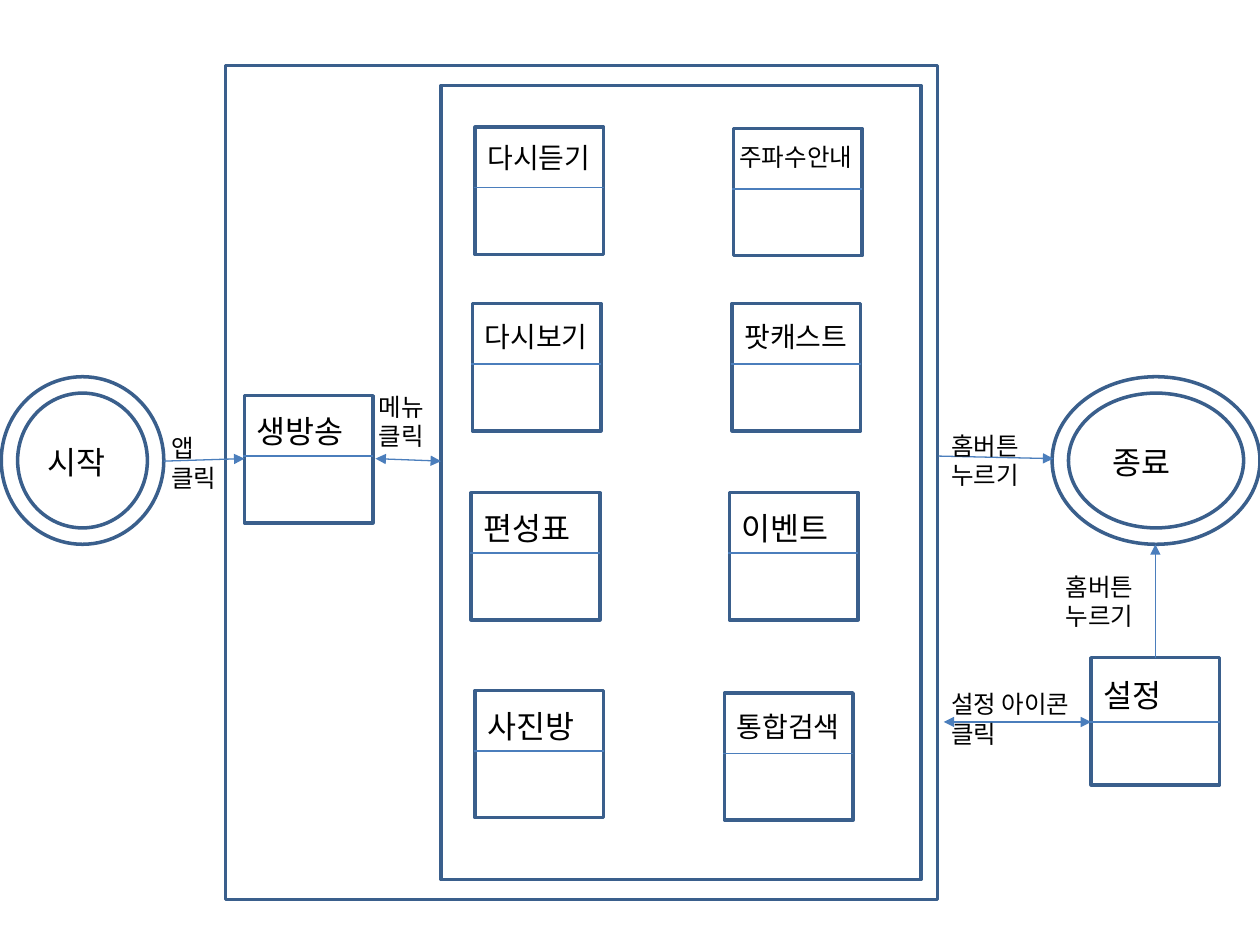
from lxml.etree import SubElement
from pptx import Presentation
from pptx.dml.color import RGBColor
from pptx.enum.shapes import MSO_CONNECTOR, MSO_SHAPE
from pptx.enum.text import MSO_AUTO_SIZE
from pptx.oxml.ns import qn
from pptx.util import Inches, Pt

COLORS = {"outline": "3A5F8C", "link": "4B7EBC", "text": "000000"}
FONT = "Noto Sans CJK KR"
SCREEN_SIZE = 1.02


class FlowDiagram:
    """Draws the states, screens and transitions of an app on one slide."""

    def __init__(self, slide):
        self.slide = slide

    def outline(self, kind, left, top, width, height):
        shape = self.slide.shapes.add_shape(
            kind, Inches(left), Inches(top), Inches(width), Inches(height))
        shape.shadow.inherit = False
        shape.fill.background()
        shape.line.color.rgb = RGBColor.from_string(COLORS["outline"])
        shape.line.width = Pt(2)

    def link(self, start, end, head=False, tail=False):
        line = self.slide.shapes.add_connector(
            MSO_CONNECTOR.STRAIGHT, *map(Inches, start + end))
        line.line.color.rgb = RGBColor.from_string(COLORS["link"])
        line.line.width = Pt(0.75)
        properties = line.line._get_or_add_ln()
        for tag, shown in (("a:headEnd", head), ("a:tailEnd", tail)):
            if shown:
                SubElement(properties, qn(tag)).set("type", "triangle")
        SubElement(line._element.spPr, qn("a:effectLst"))

    def label(self, text, left, top, width, height, size=14, wrap=True):
        box = self.slide.shapes.add_textbox(
            Inches(left), Inches(top), Inches(width), Inches(height))
        frame = box.text_frame
        frame.word_wrap = wrap
        frame.auto_size = MSO_AUTO_SIZE.SHAPE_TO_FIT_TEXT
        frame.text = text
        for para in frame.paragraphs:
            for span in para.runs:
                span.font.size = Pt(size)
                span.font.name = FONT
                span.font.color.rgb = RGBColor.from_string(COLORS["text"])
                east_asian = SubElement(span.font._element, qn("a:ea"))
                east_asian.set("typeface", FONT)

    def state(self, text, left, width, label_left):
        self.outline(MSO_SHAPE.OVAL, left, 2.99, width, 1.33)
        self.outline(MSO_SHAPE.OVAL, left + 0.13, 3.12, width - 0.26, 1.07)
        self.label(text, label_left, 3.47, 0.89, 0.4, 18)

    def screen(self, text, left, top, size=18, label_width=SCREEN_SIZE,
               label_shift=0, label_drop=0.08, divider_drop=0.48):
        self.outline(MSO_SHAPE.RECTANGLE, left, top, SCREEN_SIZE, 1.01)
        divider = top + divider_drop
        self.link((left - 0.01, divider), (left + SCREEN_SIZE, divider))
        self.label(text, left + label_shift, top + label_drop,
                   label_width, 0.4 if size == 18 else 0.37, size)


def main():
    deck = Presentation()
    deck.slide_width, deck.slide_height = Inches(10), Inches(7.5)
    diagram = FlowDiagram(deck.slides.add_slide(deck.slide_layouts[6]))

    diagram.outline(MSO_SHAPE.RECTANGLE, 1.79, 0.52, 5.65, 6.62)
    diagram.outline(MSO_SHAPE.RECTANGLE, 3.5, 0.68, 3.81, 6.3)
    diagram.state("시작", 0.01, 1.29, 0.28)
    diagram.state("종료", 8.35, 1.65, 8.73)

    diagram.screen("생방송", 1.94, 3.14)
    diagram.screen("다시듣기", 3.77, 1.01, 16, 1.34, label_drop=0.06)
    diagram.screen("다시보기", 3.75, 2.41, 16, 1.2)
    diagram.screen("편성표", 3.74, 3.91)
    diagram.screen("사진방", 3.77, 5.48)
    diagram.screen("주파수안내", 5.82, 1.02, 14, 1.22, -0.05, 0.06)
    diagram.screen("팟캐스트", 5.81, 2.41, 16, 1.18)
    diagram.screen("이벤트", 5.79, 3.91)
    diagram.screen("통합검색", 5.75, 5.5, 16, 1.24)
    diagram.screen("설정", 8.66, 5.22, label_drop=0.1, divider_drop=0.51)

    diagram.link((1.3, 3.66), (1.94, 3.64), tail=True)
    diagram.link((2.98, 3.64), (3.5, 3.66), head=True, tail=True)
    diagram.link((7.45, 3.62), (8.36, 3.64), tail=True)
    diagram.link((7.49, 5.73), (8.66, 5.73), head=True, tail=True)
    diagram.link((9.17, 5.22), (9.17, 4.32), tail=True)

    for text, left, top, width, wrap in (
            ("앱\n클릭", 1.26, 3.39, 0.59, False),
            ("메뉴\n클릭", 2.91, 3.06, 0.66, False),
            ("홈버튼\n누르기", 7.45, 3.37, 1.08, True),
            ("홈버튼\n누르기", 8.36, 4.49, 1.08, True),
            ("설정 아이콘\n클릭", 7.45, 5.42, 1.25, False)):
        diagram.label(text, left, top, width, 0.57, wrap=wrap)

    deck.save("out.pptx")


if __name__ == "__main__":
    main()
